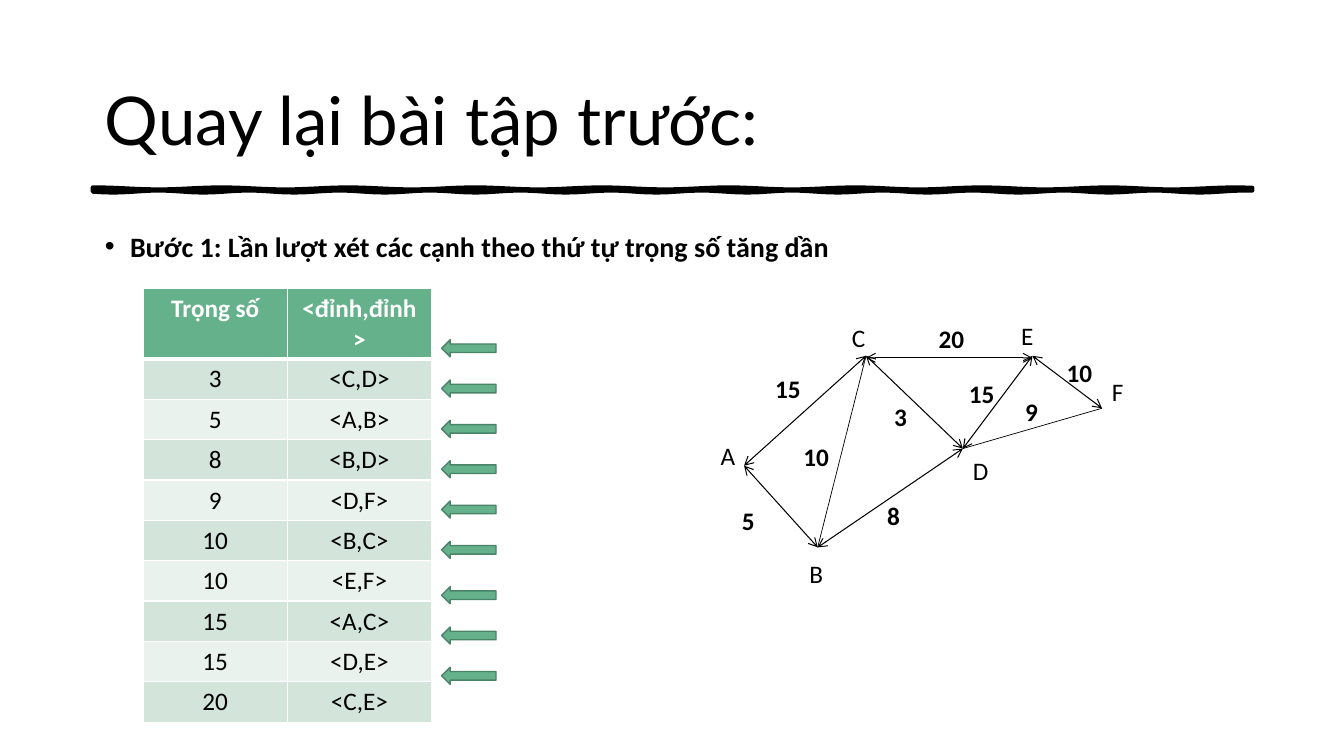
from dataclasses import dataclass
from math import sin

from lxml import etree
from pptx import Presentation
from pptx import util as u
from pptx.dml.color import RGBColor
from pptx.enum import shapes, text
from pptx.oxml.ns import qn

BLACK, WHITE = "000000", "FFFFFF"
GREEN, DARK, MINT, PALE = "64B18C", "4A8368", "D3E4DA", "EAF2EE"


@dataclass
class Node:
    x: float
    y: float
    left: float  # name box
    top: float


@dataclass
class Edge:
    start: str
    end: str
    weight: int
    left: float  # weight box
    top: float
    heads: bool = True
    shift: float = 0


NODES = {
    "A": Node(7.38, 4.62, 7.05, 4.32),
    "B": Node(8.11, 5.43, 7.93, 5.49),
    "C": Node(8.59, 3.53, 8.35, 3.15),
    "D": Node(9.55, 4.45, 9.55, 4.47),
    "E": Node(10.24, 3.53, 10.03, 3.13),
    "F": Node(10.93, 4.05, 10.93, 3.68),
}

# In order of rising weight, as the table lists them
EDGES = [
    Edge("C", "D", 3, 8.77, 3.93),
    Edge("A", "B", 5, 7.26, 4.96),
    Edge("B", "D", 8, 8.7, 4.91),
    Edge("D", "F", 9, 10.07, 3.88, heads=False),
    Edge("B", "C", 10, 7.87, 4.33, heads=False),
    Edge("E", "F", 10, 10.48, 3.5),
    Edge("A", "C", 15, 7.59, 3.65),
    Edge("D", "E", 15, 9.51, 3.7),
    Edge("C", "E", 20, 9.21, 3.16, shift=0.02),
]


def color(code: str) -> RGBColor:
    return RGBColor.from_string(code)


def paint(shape, fill: str, line: str, width: float) -> None:
    shape.shadow.inherit = False
    shape.fill.solid()
    shape.fill.fore_color.rgb = color(fill)
    shape.line.color.rgb = color(line)
    shape.line.width = u.Pt(width)


def write(frame, words: str, size: float = 18, font: str = "Calibri",
          bold: bool = False, ink: str = BLACK, align=None):
    para = frame.paragraphs[0]
    para.alignment = align
    run = para.add_run()
    run.text = words
    run.font.size = u.Pt(size)
    run.font.name = font
    run.font.bold = bold
    run.font.color.rgb = color(ink)
    return para


def add_box(slide, left: float, top: float, width: float, height: float,
            wrap: bool = False):
    box = slide.shapes.add_textbox(*map(u.Inches, (left, top, width, height)))
    frame = box.text_frame
    frame.word_wrap = wrap
    if wrap:
        frame.margin_left = frame.margin_right = frame.margin_top = u.Inches(0.12)
        frame.margin_bottom = u.Inches(0.1)
    else:
        frame.auto_size = text.MSO_AUTO_SIZE.SHAPE_TO_FIT_TEXT
    return frame


def add_rule(slide) -> None:
    steps = [0.92 + 0.1 * i for i in range(116)]
    upper = [(x, 1.87 + 0.01 * sin(5 * x)) for x in steps]
    lower = [(x, 1.9 + 0.01 * sin(7 * x)) for x in reversed(steps)]
    points = [(u.Inches(x), u.Inches(y)) for x, y in upper + lower]
    maker = slide.shapes.build_freeform(*points[0])
    maker.add_line_segments(points[1:], close=True)
    paint(maker.convert_to_shape(), BLACK, BLACK, 3)


def add_heads(slide) -> None:
    # Title
    frame = add_box(slide, 0.92, 0.4, 11.5, 1.45, wrap=True)
    frame.vertical_anchor = text.MSO_ANCHOR.MIDDLE
    write(frame, "Quay lại bài tập trước:", size=48, font="Lato").line_spacing = 1.1
    # Bulleted step
    frame = add_box(slide, 0.92, 2.11, 11.5, 4.65, wrap=True)
    para = write(frame, "Bước 1: Lần lượt xét các cạnh theo thứ tự trọng số tăng dần",
                 size=20, bold=True)
    para.line_spacing = 1.14
    para.space_before = u.Pt(10)
    props = para._p.get_or_add_pPr()
    props.set("marL", str(u.Inches(0.25)))
    props.set("indent", str(u.Inches(-0.25)))
    etree.SubElement(props, qn("a:buFont")).set("typeface", "Arial")
    etree.SubElement(props, qn("a:buChar")).set("char", "•")


def add_edge(slide, edge: Edge) -> None:
    one, two = NODES[edge.start], NODES[edge.end]
    line = slide.shapes.add_connector(
        shapes.MSO_CONNECTOR.STRAIGHT,
        *map(u.Inches, (one.x, one.y + edge.shift, two.x, two.y + edge.shift)))
    line.line.color.rgb = color(BLACK)
    line.line.width = u.Pt(0.75 if edge.heads else 0.5)
    if edge.heads:
        for tag in ("a:headEnd", "a:tailEnd"):
            etree.SubElement(line.line._get_or_add_ln(), qn(tag)).set("type", "arrow")
    etree.SubElement(line._element.spPr, qn("a:effectLst"))


def add_graph(slide) -> None:
    for edge in EDGES:
        add_edge(slide, edge)
    for name, node in NODES.items():
        write(add_box(slide, node.left, node.top, 0.34, 0.4), name)
    for edge in EDGES:
        width = 0.45 if edge.weight > 9 else 0.33
        write(add_box(slide, edge.left, edge.top, width, 0.4),
              str(edge.weight), bold=True)


def add_sides(cell, base: float) -> None:
    props = cell._tc.get_or_add_tcPr()
    for spot, (side, width) in enumerate(
            [("L", 1), ("R", 1), ("T", 1), ("B", base)]):
        line = etree.Element(qn(f"a:ln{side}"), w=str(u.Pt(width)))
        fill = etree.SubElement(line, qn("a:solidFill"))
        etree.SubElement(fill, qn("a:srgbClr")).set("val", WHITE)
        props.insert(spot, line)


def add_list(slide) -> None:
    rows = [("Trọng số", "<đỉnh,đỉnh>")]
    rows += [(str(e.weight), f"<{e.start},{e.end}>") for e in EDGES]
    table = slide.shapes.add_table(
        len(rows), 2, *map(u.Inches, (1.42, 2.86, 2.86, 3))).table
    for r, row in enumerate(rows):
        table.rows[r].height = u.Inches(0.3)
        for c, words in enumerate(row):
            cell = table.cell(r, c)
            cell.fill.solid()
            cell.fill.fore_color.rgb = color(
                GREEN if r == 0 else MINT if r % 2 else PALE)
            add_sides(cell, base=3 if r == 0 else 1)
            write(cell.text_frame, words, bold=r == 0,
                  ink=BLACK if r else WHITE, align=text.PP_ALIGN.CENTER)


def add_marks(slide) -> None:
    for i in range(len(EDGES)):
        top = 3.37 + 0.4 * i + (0.05 if i > 5 else 0)
        mark = slide.shapes.add_shape(
            shapes.MSO_SHAPE.LEFT_ARROW, *map(u.Inches, (4.38, top, 0.54, 0.17)))
        paint(mark, GREEN, DARK, 1)


def main() -> None:
    deck = Presentation()
    deck.slide_width, deck.slide_height = u.Inches(13.33), u.Inches(7.5)
    slide = deck.slides.add_slide(deck.slide_layouts[6])
    add_rule(slide)
    add_heads(slide)
    add_graph(slide)
    add_list(slide)
    add_marks(slide)
    deck.save("out.pptx")


if __name__ == "__main__":
    main()
